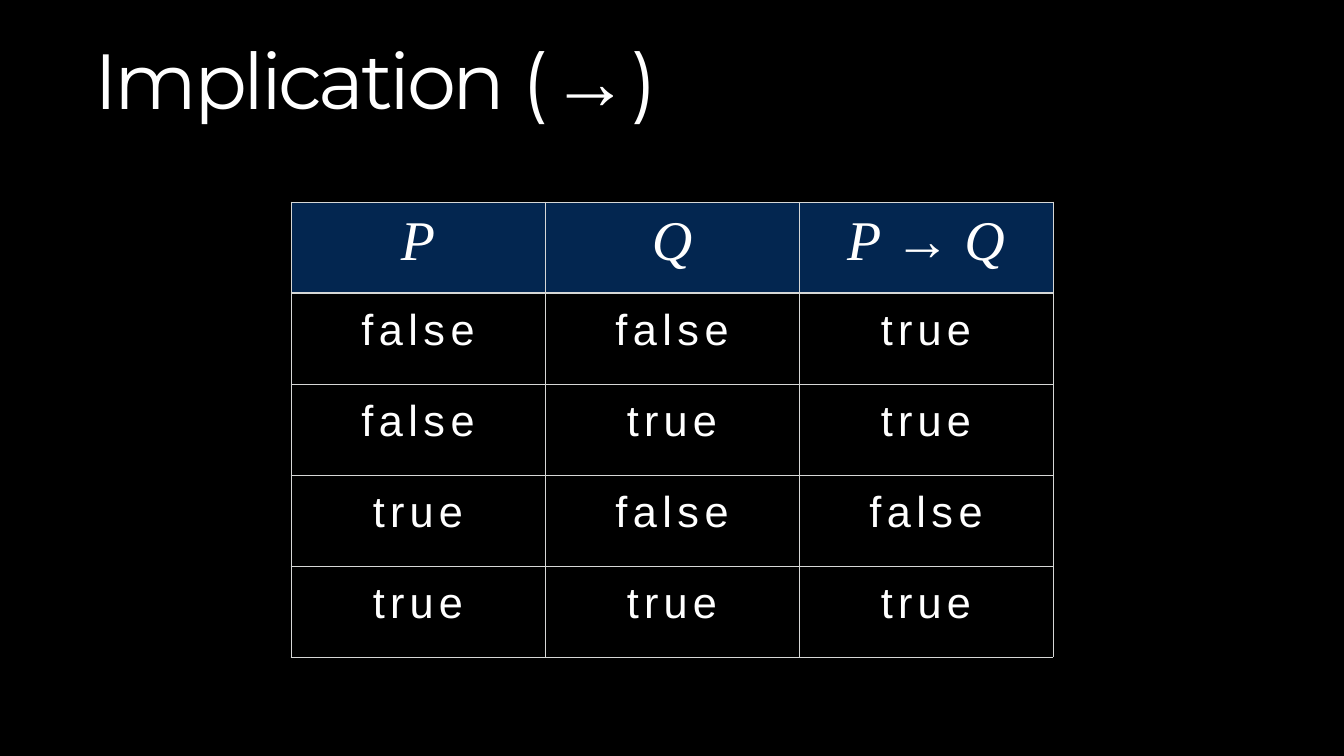
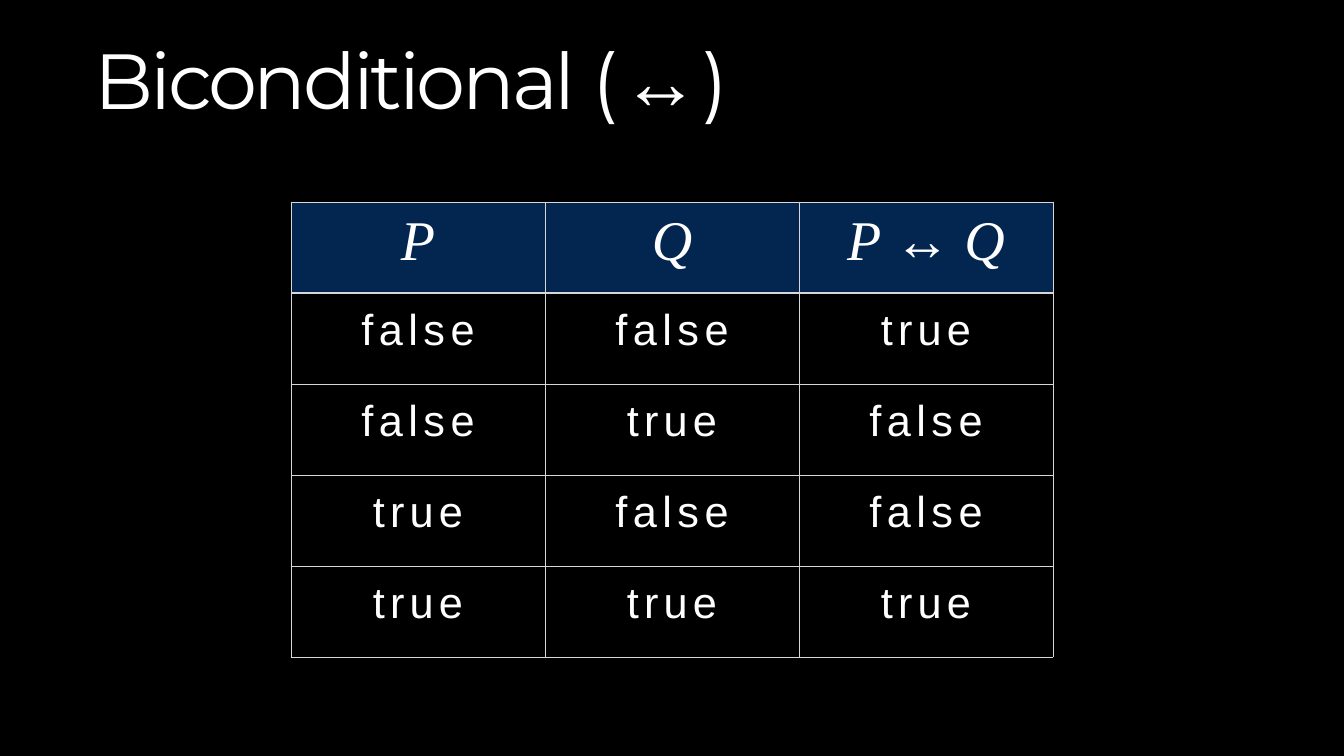
from pptx import Presentation as Deck
from pptx.dml.color import RGBColor as Rgb
from pptx.enum.text import PP_ALIGN as Align
from pptx.oxml.ns import qn
from pptx.util import Pt
from lxml.etree import SubElement as Sub

COLORS = {"back": "000000", "head": "032650", "text": "FFFFFF", "rule": "D6D7D6"}
TITLE = {"name": "Montserrat", "size": Pt(92)}
SIGN = TITLE | {"name": "Times New Roman"}
HEAD = {"name": "Times New Roman", "size": Pt(66), "italic": True}
BODY = {"name": "Arial", "size": Pt(51), "italic": False}
SPACE = {"false": 6.5, "true": 6.1}
TRUTH = [(False, False), (False, True), (True, False), (True, True)]


class Page:
    """Holds the shared style and the current slide."""

    scale = 914400 / 61.1

    def __init__(self):
        self.deck = Deck()
        self.deck.slide_width = self.px(1344)
        self.deck.slide_height = self.px(756)
        self.paint(self.deck.slide_master.background.fill, "back")

    def px(self, size):
        return round(size * self.scale)

    def paint(self, fill, color):
        fill.solid()
        fill.fore_color.rgb = Rgb.from_string(COLORS[color])

    def new(self):
        self.slide = self.deck.slides.add_slide(self.deck.slide_layouts[6])

    def run(self, para, text, style, gap=0):
        run = para.add_run()
        run.text = text
        for key, value in style.items():
            setattr(run.font, key, value)
        run.font.color.rgb = Rgb.from_string(COLORS["text"])
        if gap:
            run._r.get_or_add_rPr().set("spc", str(round(gap * 100)))

    def inset(self, item, top):
        sides = {"left": 0, "top": self.px(top), "right": 0, "bottom": 0}
        for side, value in sides.items():
            setattr(item, "margin_" + side, value)

    def title(self, name, sign, width, gap):
        box = self.slide.shapes.add_textbox(*map(self.px, (95, 30, width, 96)))
        frame = box.text_frame
        frame.word_wrap = True
        self.inset(frame, 1)
        para = frame.paragraphs[0]
        para.space_before = Pt(1.4)
        self.run(para, name + " ", TITLE, gap)
        for text, style in (("(", TITLE), (sign, SIGN), (")", TITLE)):
            self.run(para, text, style, 3.3)

    def edges(self, cell, widths):
        props = cell._tc.get_or_add_tcPr()
        for side, width in widths.items():
            line = Sub(props, qn("a:ln" + side), w=str(Pt(width)))
            fill = Sub(line, qn("a:solidFill"))
            Sub(fill, qn("a:srgbClr"), val=COLORS["rule"])

    def cell(self, cell, text, row):
        top, before, style, color = (13, 14.9, BODY, "back") if row else (9, 9.8, HEAD, "head")
        self.inset(cell, top)
        self.edges(cell, {"L": 1, "R": 1, "T": 2.25 if row == 1 else 1, "B": 1 if row else 2.25})
        self.paint(cell.fill, color)
        para = cell.text_frame.paragraphs[0]
        para.alignment = Align.CENTER
        para.space_before = Pt(before)
        self.run(para, text, style, SPACE.get(text, 0))

    def table(self, rows):
        high, wide = len(rows), len(rows[0])
        area = map(self.px, (291, 202, 254 * wide, 91 * high))
        grid = self.slide.shapes.add_table(high, wide, *area).table
        grid.first_row = grid.horz_banding = False
        for r, row in enumerate(rows):
            for c, text in enumerate(row):
                self.cell(grid.cell(r, c), text, r)


def truth(sign, rule):
    rows = [[str(v).lower() for v in (p, q, rule(p, q))] for p, q in TRUTH]
    return [["P", "Q", f"P {sign} Q"]] + rows


page = Page()
for name, sign, width, gap, rule in (
    ("Implication", "→", 615, -4.2, lambda p, q: not p or q),
    ("Biconditional", "↔", 694, -3.9, lambda p, q: p == q),
):
    page.new()
    page.title(name, sign, width, gap)
    page.table(truth(sign, rule))
page.deck.save("out.pptx")
